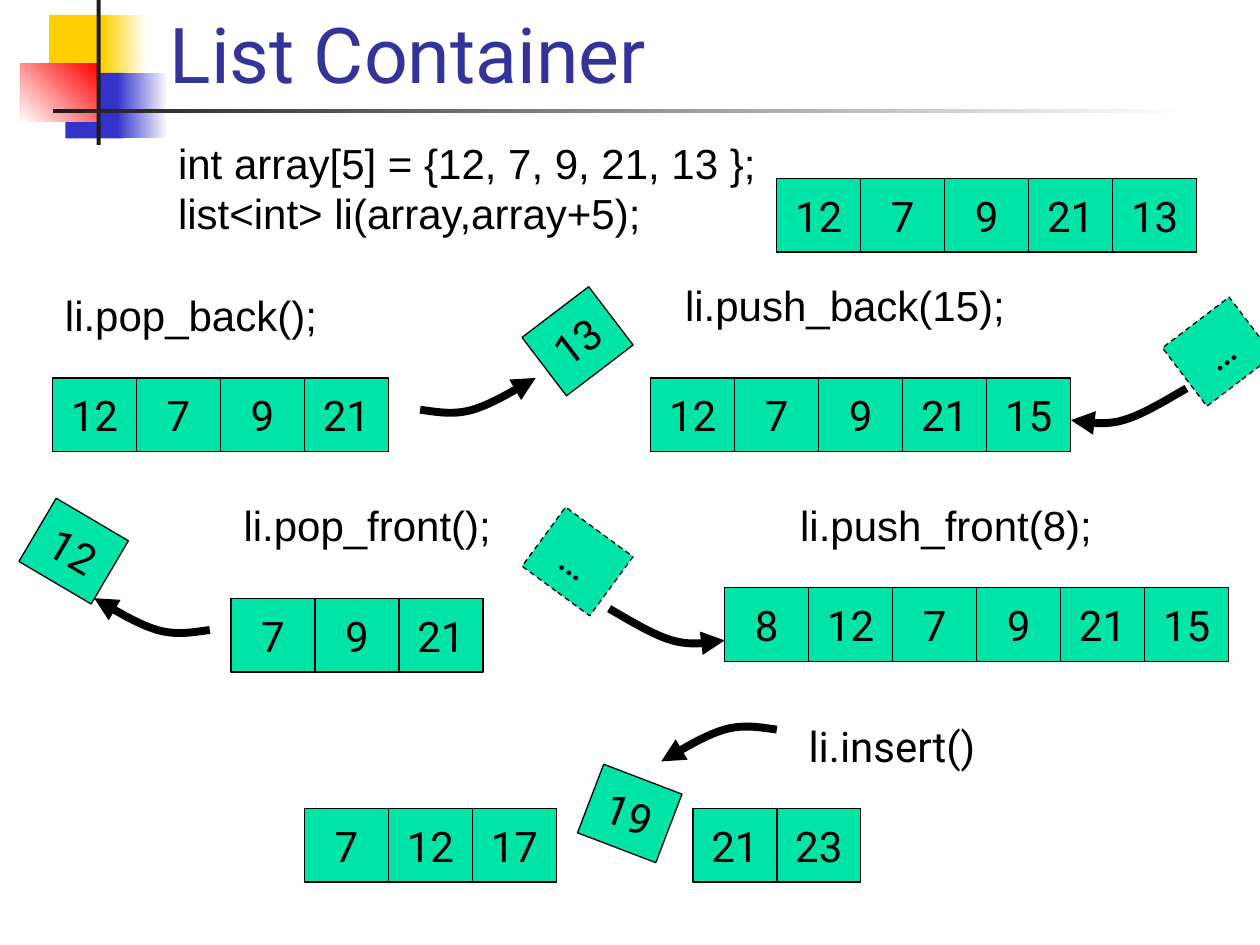
import lxml.etree
import pptx
import pptx.dml.color
import pptx.enum.dml
import pptx.enum.shapes
import pptx.enum.text
import pptx.oxml.ns
import pptx.util

Cm, Pt = pptx.util.Cm, pptx.util.Pt
COLORS = {"text": "000000", "title": "333399", "cell": "00E4A8", "white": "FFFFFF",
          "gold": "FFCF01", "blue": "3333CC", "red": "FF0000", "rule": "1C1C1C"}
CELL_W, CELL_H = 1.69, 1.48
STEP = 2.54 * 2 / 3  # two thirds of an inch between neighbouring cells
# Two joined cubic curves, relative to the flat end of the arrow
CURVE = [(0, 0), (0.34, 0.05), (0.69, 0.11), (1.06, 0),
         (1.44, -0.11), (1.88, -0.38), (2.33, -0.64)]


def rgb(name):
    return pptx.dml.color.RGBColor.from_string(COLORS[name])


def bezier(points, t):
    weights = ((1 - t) ** 3, 3 * t * (1 - t) ** 2, 3 * t * t * (1 - t), t ** 3)
    return tuple(sum(w * p[axis] for w, p in zip(weights, points)) for axis in (0, 1))


class ListSlide:
    def __init__(self, prs):
        self.s = prs.slides.add_slide(prs.slide_layouts[5])
        self.font, self.code_font, self.size = "Roboto", "Arial", 24

    def run(self, p, text, font=None, size=None, color="text"):
        r = p.add_run()
        r.text = text
        r.font.name = font or self.font
        r.font.size = Pt(size or self.size)
        r.font.color.rgb = rgb(color)

    def title(self, text, x, y, w, h):
        sp = self.s.shapes.title
        sp.left, sp.top, sp.width, sp.height = Cm(x), Cm(y), Cm(w), Cm(h)
        tf = sp.text_frame
        tf.auto_size = pptx.enum.text.MSO_AUTO_SIZE.NONE
        tf.vertical_anchor = pptx.enum.text.MSO_ANCHOR.BOTTOM
        p = tf.paragraphs[0]
        p.alignment = pptx.enum.text.PP_ALIGN.LEFT
        self.run(p, text, size=44, color="title")

    def rect(self, x, y, w, h):
        sp = self.s.shapes.add_shape(pptx.enum.shapes.MSO_SHAPE.RECTANGLE,
                                     Cm(x), Cm(y), Cm(w), Cm(h))
        sp.shadow.inherit = False
        return sp

    def block(self, x, y, w, h, colors, angle=180):
        """Borderless rectangle, plain with one colour or a gradient with two."""
        sp = self.rect(x, y, w, h)
        sp.line.fill.background()
        if len(colors) == 1:
            sp.fill.solid()
            sp.fill.fore_color.rgb = rgb(colors[0])
            return
        sp.fill.gradient()
        sp.fill.gradient_angle = angle
        for stop, color in zip(sp.fill.gradient_stops, colors):
            stop.color.rgb = rgb(color)

    def cell(self, text, x, y, rotation=0, dashed=False):
        sp = self.rect(x, y, CELL_W, CELL_H)
        sp.rotation = rotation
        sp.fill.solid()
        sp.fill.fore_color.rgb = rgb("cell")
        sp.line.color.rgb = rgb("text")
        sp.line.width = Pt(0.75)
        if dashed:
            sp.line.dash_style = pptx.enum.dml.MSO_LINE.DASH
        tf = sp.text_frame
        tf.word_wrap = False
        tf.vertical_anchor = pptx.enum.text.MSO_ANCHOR.MIDDLE
        p = tf.paragraphs[0]
        p.alignment = pptx.enum.text.PP_ALIGN.CENTER
        self.run(p, text)

    def row(self, values, x, y):
        for i, value in enumerate(values):
            self.cell(str(value), x + i * STEP, y)

    def label(self, lines, x, y, w, h=1.27, font=None):
        tf = self.s.shapes.add_textbox(Cm(x), Cm(y), Cm(w), Cm(h)).text_frame
        tf.word_wrap = False
        tf.auto_size = pptx.enum.text.MSO_AUTO_SIZE.SHAPE_TO_FIT_TEXT
        for i, line in enumerate(lines):
            p = tf.add_paragraph() if i else tf.paragraphs[0]
            self.run(p, line, font or self.code_font)

    def arrow(self, x, y, flip_x, flip_y, end):
        """Curved arrow from its flat end, mirrored by the flips (1 or -1)."""
        steps = 10
        points = [bezier(CURVE[k:k + 4], i / steps)
                  for k in (0, 3) for i in range(1, steps + 1)]
        builder = self.s.shapes.build_freeform(Cm(x), Cm(y))
        builder.add_line_segments([(Cm(x + flip_x * dx), Cm(y + flip_y * dy))
                                   for dx, dy in points], close=False)
        sp = builder.convert_to_shape()
        sp.shadow.inherit = False
        sp.fill.background()
        sp.line.color.rgb = rgb("text")
        sp.line.width = Pt(4.5)
        ln = sp.line.fill._xPr
        lxml.etree.SubElement(ln, pptx.oxml.ns.qn("a:" + end), type="triangle")


def main():
    prs = pptx.Presentation()
    prs.slide_width, prs.slide_height = Cm(25.4), Cm(19.05)
    slide = ListSlide(prs)

    # Corner decoration and title
    slide.block(0.99, 0.3, 1.22, 1.32, ["gold"])
    slide.block(2.06, 0.3, 0.91, 1.32, ["white", "gold"])
    slide.block(1.32, 1.47, 1.17, 1.32, ["blue"])
    slide.block(2.36, 1.47, 1.02, 1.32, ["white", "blue"])
    slide.block(0.42, 1.28, 1.55, 1.17, ["red", "white"], angle=225)
    slide.block(1.95, 0, 0.08, 2.92, ["rule"])
    slide.block(1.06, 2.2, 22.86, 0.08, ["white", "rule"])
    slide.title("List Container", 3.17, -1.06, 21.64, 3.18)

    # Declaration
    slide.label(["int array[5] = {12, 7, 9, 21, 13 };", "list<int> li(array,array+5);"],
                3.34, 2.64, 12.3, 2.29)
    slide.row([12, 7, 9, 21, 13], 15.66, 3.6)

    # pop_back
    slide.label(["li.pop_back();"], 1.06, 5.72, 5.7)
    slide.row([12, 7, 9, 21], 1.06, 7.62)
    slide.cell("13", 10.8, 6.14, 322.7)
    slide.arrow(8.47, 8.26, 1, 1, "tailEnd")

    # push_back
    slide.label(["li.push_back(15);"], 13.56, 5.5, 7.1)
    slide.cell("…", 23.71, 6.35, 322.7, dashed=True)
    slide.arrow(21.59, 8.47, 1, 1, "headEnd")
    slide.row([12, 7, 9, 21, 15], 13.12, 7.62)

    # pop_front
    slide.label(["li.pop_front();"], 4.66, 9.95, 5.6)
    slide.row([7, 9, 21], 4.66, 12.07)
    slide.cell("12", 0.64, 10.37, 30.5)
    slide.arrow(4.23, 12.7, -1, 1, "tailEnd")

    # push_front
    slide.label(["li.push_front(8);"], 15.88, 9.95, 6.5)
    slide.cell("…", 10.8, 10.58, 36.3, dashed=True)
    slide.arrow(14.61, 12.91, -1, 1, "headEnd")
    slide.row([8, 12, 7, 9, 21, 15], 14.61, 11.85)

    # insert
    slide.row([7, 12, 17], 6.14, 16.3)
    slide.row([21, 23], 13.97, 16.3)
    slide.label(["li.insert()"], 16.05, 14.39, 4.05, font=slide.font)
    slide.cell("19", 11.85, 15.66, 20.9)
    slide.arrow(15.66, 14.71, -1, -1, "tailEnd")

    prs.save("out.pptx")


if __name__ == "__main__":
    main()
